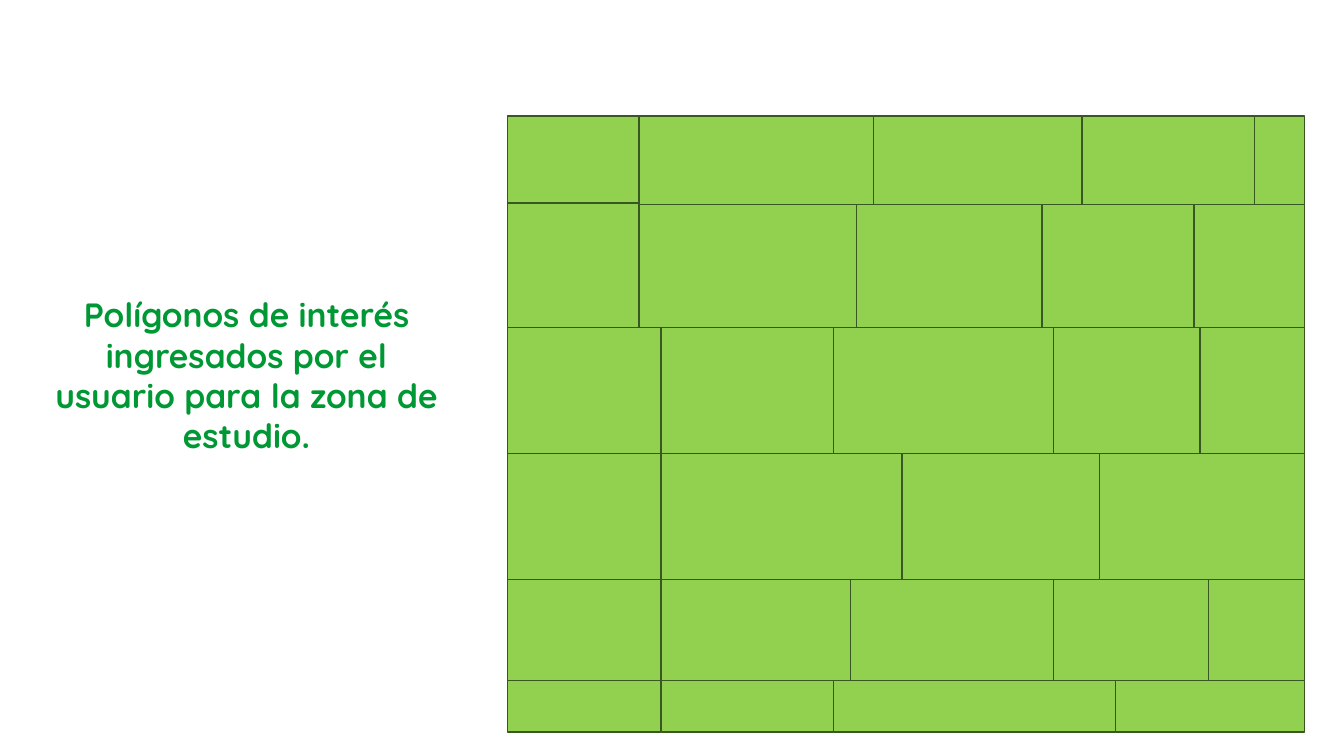
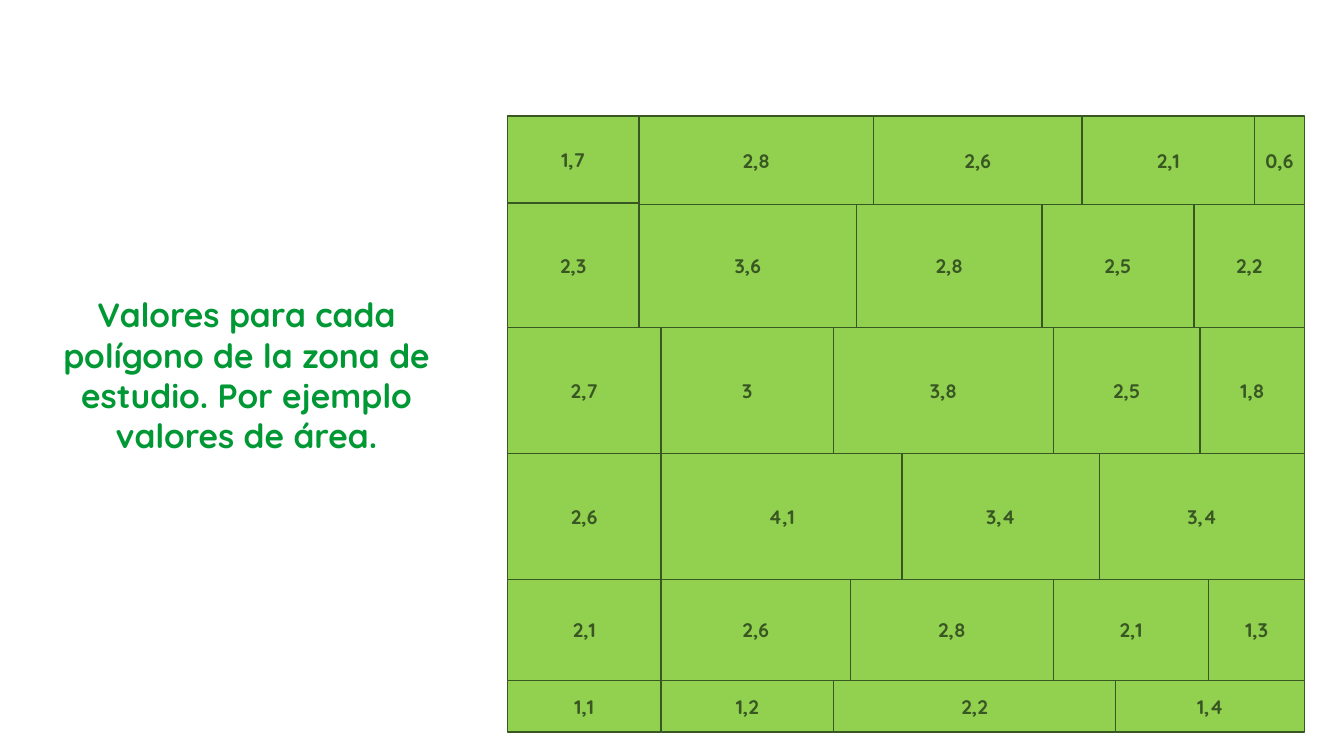
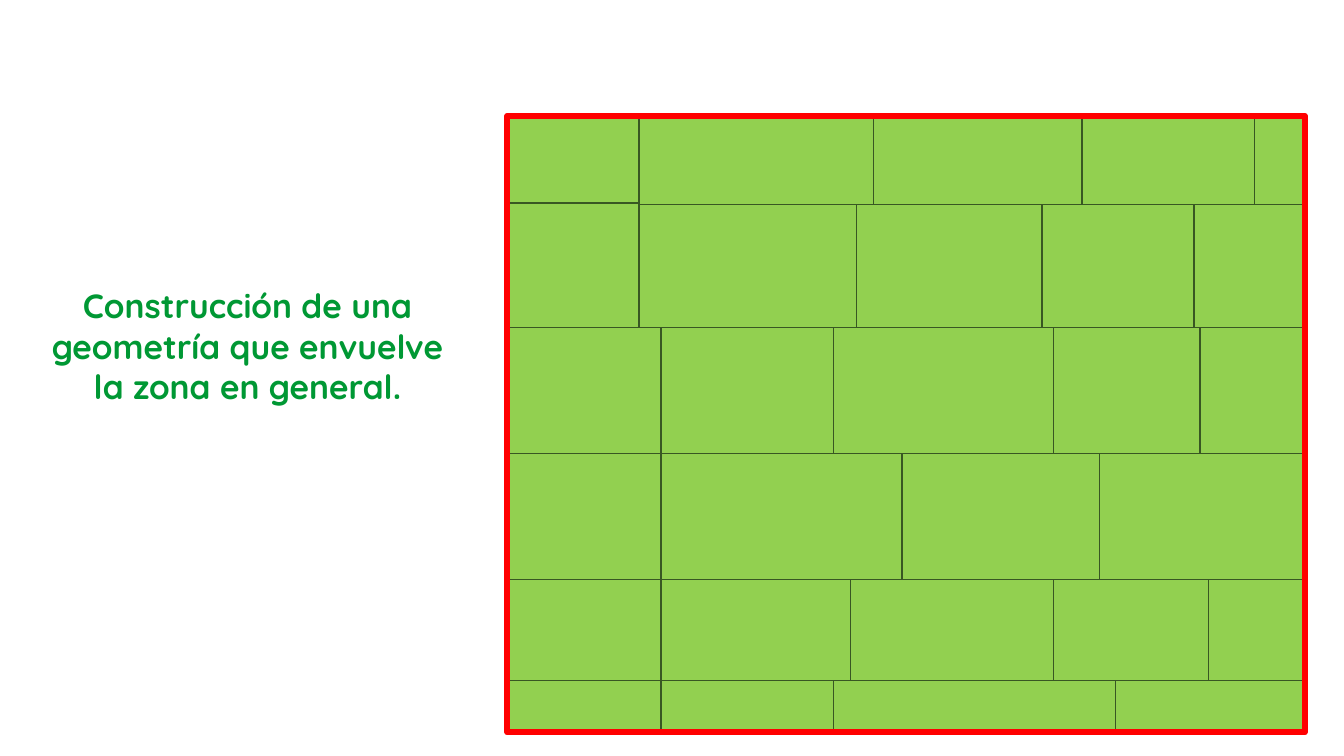
from itertools import pairwise

from lxml import etree
from pptx import Presentation
from pptx.dml.color import RGBColor
from pptx.enum.shapes import MSO_SHAPE
from pptx.enum.text import MSO_ANCHOR, MSO_AUTO_SIZE, PP_ALIGN
from pptx.oxml.ns import qn
from pptx.util import Pt

FONT = "Quicksand"
CAPTION_GREEN = RGBColor(0x00, 0x98, 0x34)
PARCEL_GREEN = RGBColor(0x92, 0xD0, 0x50)
DARK_GREEN = RGBColor(0x38, 0x57, 0x23)
ENVELOPE_RED = RGBColor(0xFF, 0x00, 0x00)
WHITE = RGBColor(0xFF, 0xFF, 0xFF)

LEFT, RIGHT = 362.4, 932
ROW_EDGES = [82.8, 146.2, 234, 324, 414, 486, 523]
INNER_EDGES = [
    [456.5, 624, 773, 896],
    [456.5, 612, 744.2, 852.8],
    [472.3, 595.3, 752.5, 857.2],
    [472.3, 644.4, 785.5],
    [472.3, 607.5, 752.5, 863.4],
    [472.3, 595.3, 797],
]
FIRST_PARCEL_BOTTOM = 145  # the first column breaks slightly above the rest
AREAS = [
    ["1,7", "2,8", "2,6", "2,1", "0,6"],
    ["2,3", "3,6", "2,8", "2,5", "2,2"],
    ["2,7", "3", "3,8", "2,5", "1,8"],
    ["2,6", "4,1", "3,4", "3,4"],
    ["2,1", "2,6", "2,8", "2,1", "1,3"],
    ["1,1", "1,2", "2,2", "1,4"],
]

# Caption, its left and top, whether areas show, whether the envelope shows
STEPS = [
    ("Polígonos de interés ingresados por el usuario para la zona de estudio.",
     25.2, 206.6, False, False),
    ("Valores para cada polígono de la zona de estudio. Por ejemplo valores de área.",
     25.2, 206.6, True, False),
    ("Construcción de una geometría que envuelve la zona en general.",
     25.9, 200.2, False, True),
]


def write(shape, text, *, size, color, anchor):
    frame = shape.text_frame
    frame.word_wrap = True
    frame.vertical_anchor = anchor
    paragraph = frame.paragraphs[0]
    paragraph.text = text
    paragraph.alignment = PP_ALIGN.CENTER
    font = paragraph.runs[0].font
    font.name, font.size, font.bold = FONT, Pt(size), True
    font.color.rgb = color


def add_outlined_rect(slide, left, top, right, bottom, *, line, width):
    rect = slide.shapes.add_shape(MSO_SHAPE.RECTANGLE, Pt(left), Pt(top),
                                  Pt(right - left), Pt(bottom - top))
    rect.shadow.inherit = False
    rect.line.color.rgb = line
    rect.line.width = Pt(width)
    return rect


deck = Presentation()
deck.slide_width, deck.slide_height = Pt(960), Pt(540)
title_only = deck.slide_layouts[5]

for text, caption_left, caption_top, show_areas, show_envelope in STEPS:
    slide = deck.slides.add_slide(title_only)

    caption = slide.shapes.title
    caption.left, caption.top = Pt(caption_left), Pt(caption_top)
    caption.width, caption.height = Pt(301.7), Pt(123.8)
    caption.fill.solid()
    caption.fill.fore_color.rgb = WHITE
    white_fill = caption.fill._xPr.find(".//" + qn("a:srgbClr"))
    etree.SubElement(white_fill, qn("a:alpha"), val="90000")
    write(caption, text, size=24, color=CAPTION_GREEN, anchor=MSO_ANCHOR.TOP)
    caption.text_frame.auto_size = MSO_AUTO_SIZE.SHAPE_TO_FIT_TEXT

    for row, (row_top, row_bottom) in enumerate(pairwise(ROW_EDGES)):
        column_edges = [LEFT, *INNER_EDGES[row], RIGHT]
        for column, (left, right) in enumerate(pairwise(column_edges)):
            top, bottom = row_top, row_bottom
            if column == 0 and row == 0:
                bottom = FIRST_PARCEL_BOTTOM
            elif column == 0 and row == 1:
                top = FIRST_PARCEL_BOTTOM
            parcel = add_outlined_rect(slide, left, top, right, bottom,
                                       line=DARK_GREEN, width=1)
            parcel.fill.solid()
            parcel.fill.fore_color.rgb = PARCEL_GREEN
            if show_areas:
                write(parcel, AREAS[row][column], size=14, color=DARK_GREEN,
                      anchor=MSO_ANCHOR.MIDDLE)

    if show_envelope:
        envelope = add_outlined_rect(slide, LEFT, ROW_EDGES[0], RIGHT, ROW_EDGES[-1],
                                     line=ENVELOPE_RED, width=4.5)
        envelope.fill.background()

deck.save("out.pptx")
